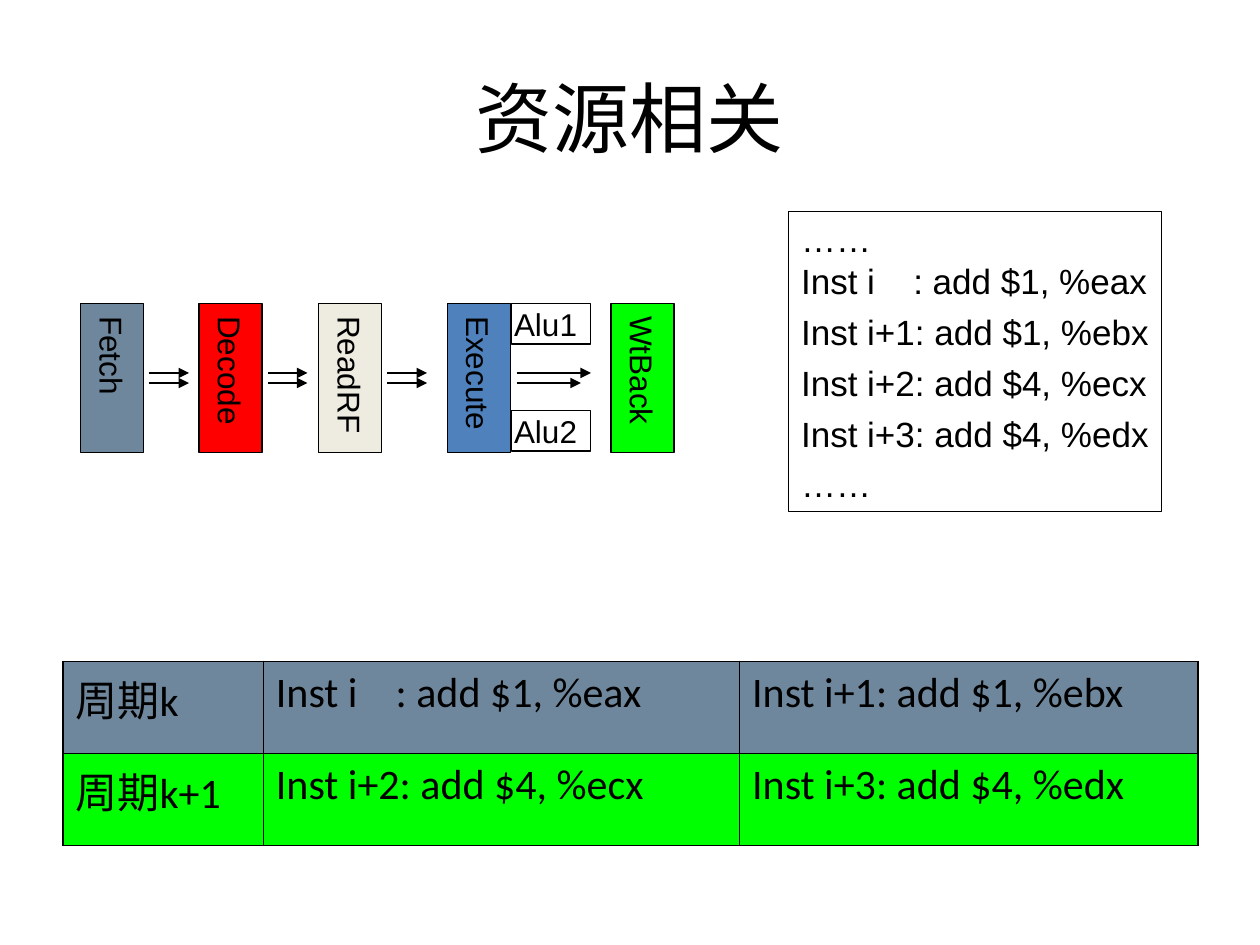
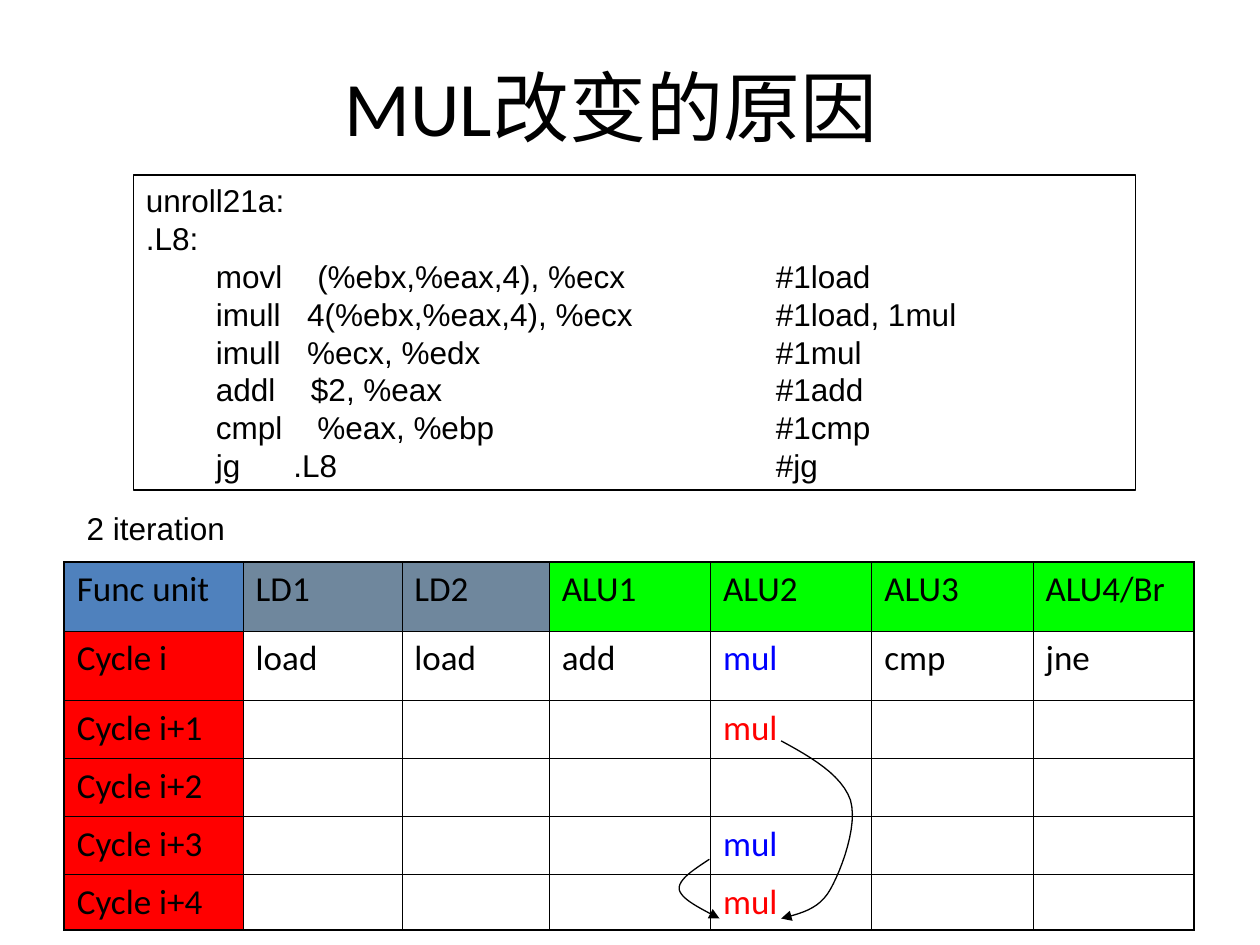
from lxml.etree import SubElement
from pptx import Presentation
from pptx.dml.color import RGBColor
from pptx.enum.shapes import MSO_CONNECTOR, MSO_SHAPE
from pptx.enum.text import MSO_ANCHOR, PP_ALIGN
from pptx.oxml.ns import qn
from pptx.util import Inches, Pt

rgb = RGBColor.from_string
BLACK, SLATE, GREEN, RED = "000000", "6F879D", "00FF00", "FF0000"
STEEL, CREAM, BLUE = "4F81BD", "EEECE1", "0000FF"
LEFT, CENTER = PP_ALIGN.LEFT, PP_ALIGN.CENTER
TOP, MIDDLE = MSO_ANCHOR.TOP, MSO_ANCHOR.MIDDLE
ROOMY, UPRIGHT, TIGHT = (0.1, 0.05), (0.05, 0.1), (0.02, 0.01)


def write(frame, lines, size, font="Arial", ink=BLACK, align=LEFT, gap=0):
    for index, (text, stops) in enumerate(lines):
        paragraph = frame.add_paragraph() if index else frame.paragraphs[0]
        paragraph.alignment = align
        if gap and index > 1:
            paragraph.space_before = Pt(gap)
        if stops:
            tab_list = SubElement(paragraph._p.get_or_add_pPr(), qn("a:tabLst"))
            for stop in stops:
                SubElement(tab_list, qn("a:tab"), pos=str(Inches(stop)), algn="l")
        run = paragraph.add_run()
        run.text = text
        for name, value in {"size": Pt(size), "name": font}.items():
            setattr(run.font, name, value)
        run.font.color.rgb = rgb(ink)


def set_frame(frame, insets, anchor, wrap=True):
    across, down = map(Inches, insets)
    layout = {"margin_left": across, "margin_right": across, "margin_top": down,
              "margin_bottom": down, "vertical_anchor": anchor, "word_wrap": wrap}
    for name, value in layout.items():
        setattr(frame, name, value)


deck = Presentation()
deck.slide_width, deck.slide_height = Inches(10), Inches(7.5)
hazard, unrolled = [deck.slides.add_slide(deck.slide_layouts[6]) for _ in range(2)]

labels = [
    (hazard, (0.5, 0.3, 9, 1.25), "资源相关", 44, "Calibri", CENTER, MIDDLE),
    (unrolled, (0.35, 0.21, 9, 1.25), "MUL改变的原因", 44, "Calibri", CENTER, MIDDLE),
    (unrolled, (0.59, 3.99, 1.57, 0.4), "2 iteration", 18, "Arial", LEFT, TOP),
]
for slide, place, text, size, font, align, anchor in labels:
    label = slide.shapes.add_textbox(*map(Inches, place))
    set_frame(label.text_frame, ROOMY, anchor)
    write(label.text_frame, [(text, ())], size, font, align=align)

instructions = ["Inst i\t: add $1, %eax", "Inst i+1: add $1, %ebx",
                "Inst i+2: add $4, %ecx", "Inst i+3: add $4, %edx"]
cycle_rows = [["周期k", *instructions[:2]], ["周期k+1", *instructions[2:]]]
cycle_fills = [[SLATE] * 3, [GREEN] * 3]

unit_rows = [
    ["Func unit", "LD1", "LD2", "ALU1", "ALU2", "ALU3", "ALU4/Br"],
    ["Cycle i", "load", "load", "add", "mul", "cmp", "jne"],
    ["Cycle i+1", "", "", "", "mul", "", ""],
    ["Cycle i+2", "", "", "", "", "", ""],
    ["Cycle i+3", "", "", "", "mul", "", ""],
    ["Cycle i+4", "", "", "", "mul", "", ""],
]
unit_fills = [[STEEL, SLATE, SLATE] + [GREEN] * 4] + [[RED] + [None] * 6] * 5
mul_inks = {1: BLUE, 2: RED, 4: BLUE, 5: RED}

schedules = [
    (hazard, (0.5, 5.25, 9, 1.45), [1.59, 3.78, 3.64], [0.73] * 2,
     cycle_rows, cycle_fills, 24),
    (unrolled, (0.51, 4.46, 8.98, 2.93), [1.42, 1.26, 1.17] + [1.28] * 4,
     [0.55] * 2 + [0.46] * 3 + [0.44], unit_rows, unit_fills, 20),
]
for slide, place, widths, heights, rows, fills, size in schedules:
    schedule = slide.shapes.add_table(len(rows), len(widths), *map(Inches, place)).table
    schedule.first_row = schedule.horz_banding = False
    for column, width in zip(schedule.columns, widths):
        column.width = Inches(width)
    for row, height in zip(schedule.rows, heights):
        row.height = Inches(height)
    for r, texts in enumerate(rows):
        for c, text in enumerate(texts):
            cell = schedule.cell(r, c)
            outer = {"a:lnL": c == 0, "a:lnR": c == len(widths) - 1,
                     "a:lnT": r == 0, "a:lnB": r == len(rows) - 1}
            for edge, is_outer in outer.items():
                border = SubElement(cell._tc.get_or_add_tcPr(), qn(edge),
                                    w=str(Pt(1.08 if is_outer else 0.45)))
                SubElement(SubElement(border, qn("a:solidFill")), qn("a:srgbClr"), val=BLACK)
            if fills[r][c]:
                cell.fill.solid()
                cell.fill.fore_color.rgb = rgb(fills[r][c])
            else:
                cell.fill.background()
            if text:
                ink = mul_inks[r] if text == "mul" else BLACK
                stops = [0.95] if "\t" in text else ()
                write(cell.text_frame, [(text, stops)], size, "Calibri", ink)

listing = [("……", ()), *[(text, [0.89] if "\t" in text else ()) for text in instructions],
           ("……", ())]
loop_code = [
    ("movl", 1.36, "(%ebx,%eax,4), %ecx", "#1load"),
    ("imull", 1.28, "4(%ebx,%eax,4), %ecx", "#1load, 1mul"),
    ("imull", 1.28, "%ecx, %edx", "#1mul"),
    ("addl", 1.31, "$2, %eax", "#1add"),
    ("cmpl", 1.36, "%eax, %ebp", "#1cmp"),
    ("jg", 1.17, ".L8", "#jg"),
]
assembly = [("unroll21a:", ()), (".L8:", ())]
for opcode, operand_stop, operands, remark in loop_code:
    assembly.append((f"        {opcode}\t{operands}\t{remark}", [operand_stop, 5]))

boxes = [
    (hazard, (6.26, 1.68, 2.96, 2.38), listing, 20, None, ROOMY),
    (unrolled, (1.06, 1.39, 7.95, 2.5), assembly, 18, None, ROOMY),
]
stages = [("Fetch", 0.64, SLATE), ("Decode", 1.58, RED), ("ReadRF", 2.53, CREAM),
          ("Execute", 3.55, STEEL), ("WtBack", 4.85, GREEN)]
for stage, left, fill in stages:
    boxes.append((hazard, (left, 2.41, 0.5, 1.18), [(stage, ())], 18, fill, UPRIGHT))
for alu, top in [("Alu1", 2.41), ("Alu2", 3.26)]:
    boxes.append((hazard, (4.06, top, 0.63, 0.32), [(alu, ())], 18, None, TIGHT))

for slide, place, lines, size, fill, insets in boxes:
    box = slide.shapes.add_shape(MSO_SHAPE.RECTANGLE, *map(Inches, place))
    box.shadow.inherit = False
    box.line.color.rgb = rgb(BLACK)
    box.line.width = Pt(0.75)
    if fill:
        box.fill.solid()
        box.fill.fore_color.rgb = rgb(fill)
    else:
        box.fill.background()
    is_stage = insets == UPRIGHT
    set_frame(box.text_frame, insets, MIDDLE if is_stage else TOP, lines is not listing)
    if is_stage:
        box.element.txBody.bodyPr.set("vert", "eaVert")
    write(box.text_frame, lines, size, align=CENTER if is_stage else LEFT,
          gap=5 if lines is listing else 0)

arrows = []
flows = [(1.18, 1.5, 1.5), (2.13, 2.44, 2.44), (3.07, 3.39, 3.39), (4.1, 4.69, 4.61)]
for start, *ends in flows:
    for end, y in zip(ends, (2.96, 3.04)):
        arrows.append(hazard.shapes.add_connector(
            MSO_CONNECTOR.STRAIGHT, *map(Inches, (start, y, end, y))))

dependences = [
    [(5.63, 6.82), (5.51, 6.9), (5.38, 6.98), (5.39, 7.06),
     (5.41, 7.14), (5.56, 7.21), (5.71, 7.29)],
    [(6.2, 5.88), (6.44, 6.01), (6.68, 6.15), (6.75, 6.35), (6.81, 6.55),
     (6.68, 6.9), (6.59, 7.06), (6.5, 7.22), (6.35, 7.25), (6.2, 7.29)],
]
STEPS = 12
for knots in dependences:
    curve = []
    for first in range(0, len(knots) - 1, 3):
        for step in range(1, STEPS + 1):
            t = step / STEPS
            weights = ((1 - t) ** 3, 3 * t * (1 - t) ** 2, 3 * t ** 2 * (1 - t), t ** 3)
            curve.append([Inches(sum(w * knot[axis] for w, knot
                                     in zip(weights, knots[first:first + 4])))
                          for axis in (0, 1)])
    builder = unrolled.shapes.build_freeform(*map(Inches, knots[0]))
    builder.add_line_segments(curve, close=False)
    dependence = builder.convert_to_shape()
    dependence.fill.background()
    arrows.append(dependence)

for arrow in arrows:
    arrow.line.color.rgb = rgb(BLACK)
    arrow.line.width = Pt(0.75)
    outline = arrow.element.spPr
    SubElement(outline.find(qn("a:ln")), qn("a:tailEnd"), type="triangle")
    SubElement(outline, qn("a:effectLst"))

deck.save("out.pptx")
